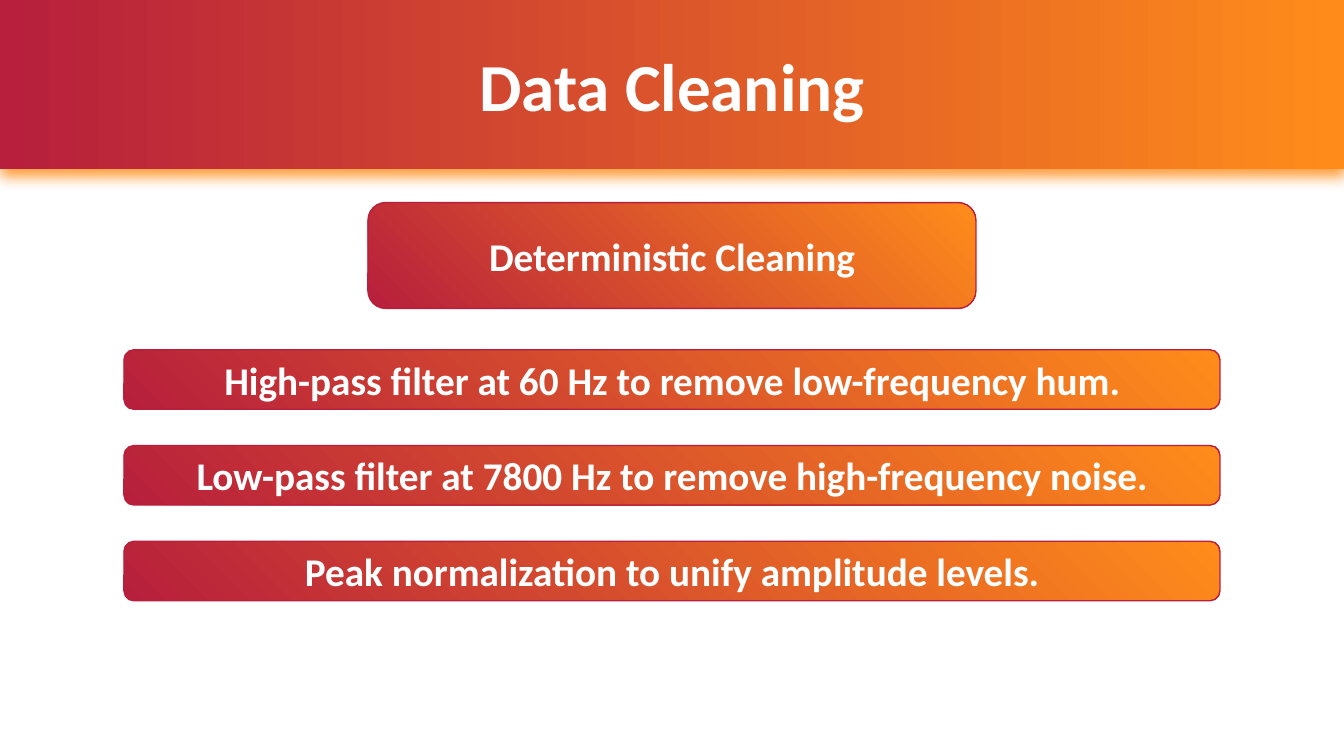
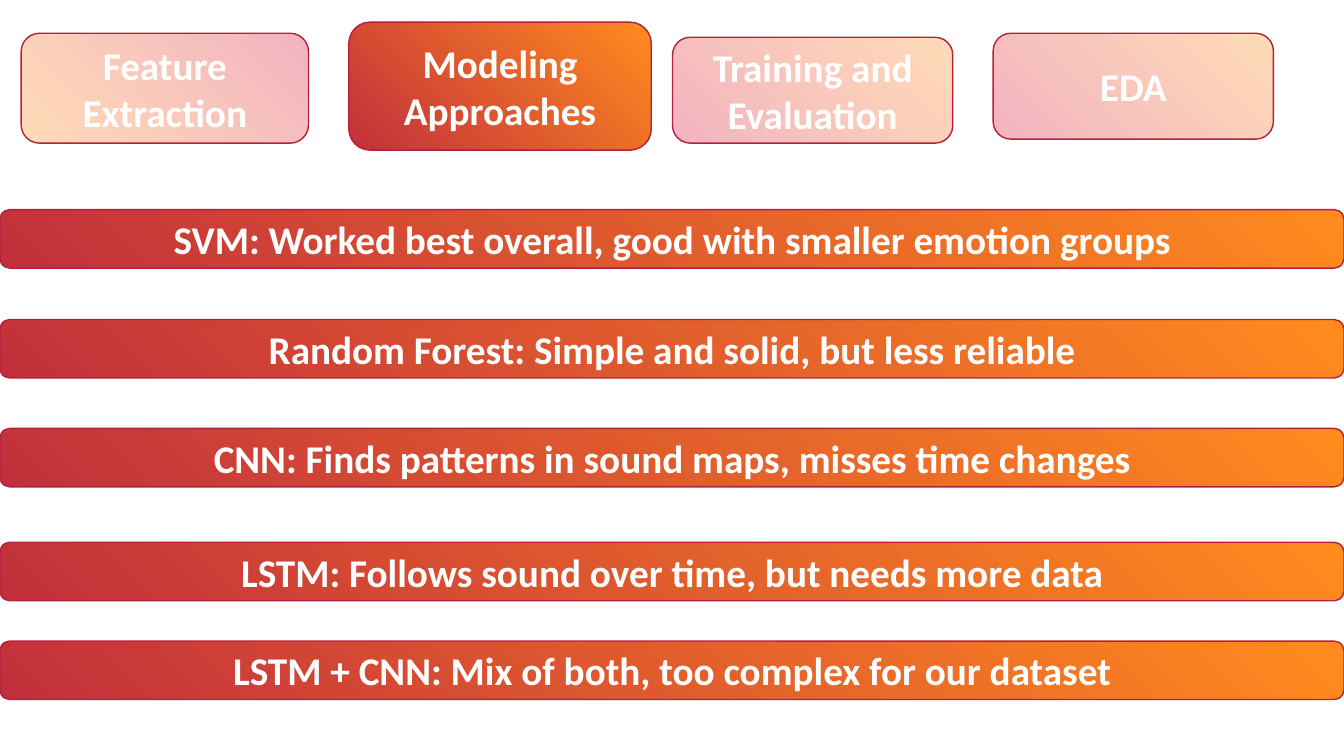
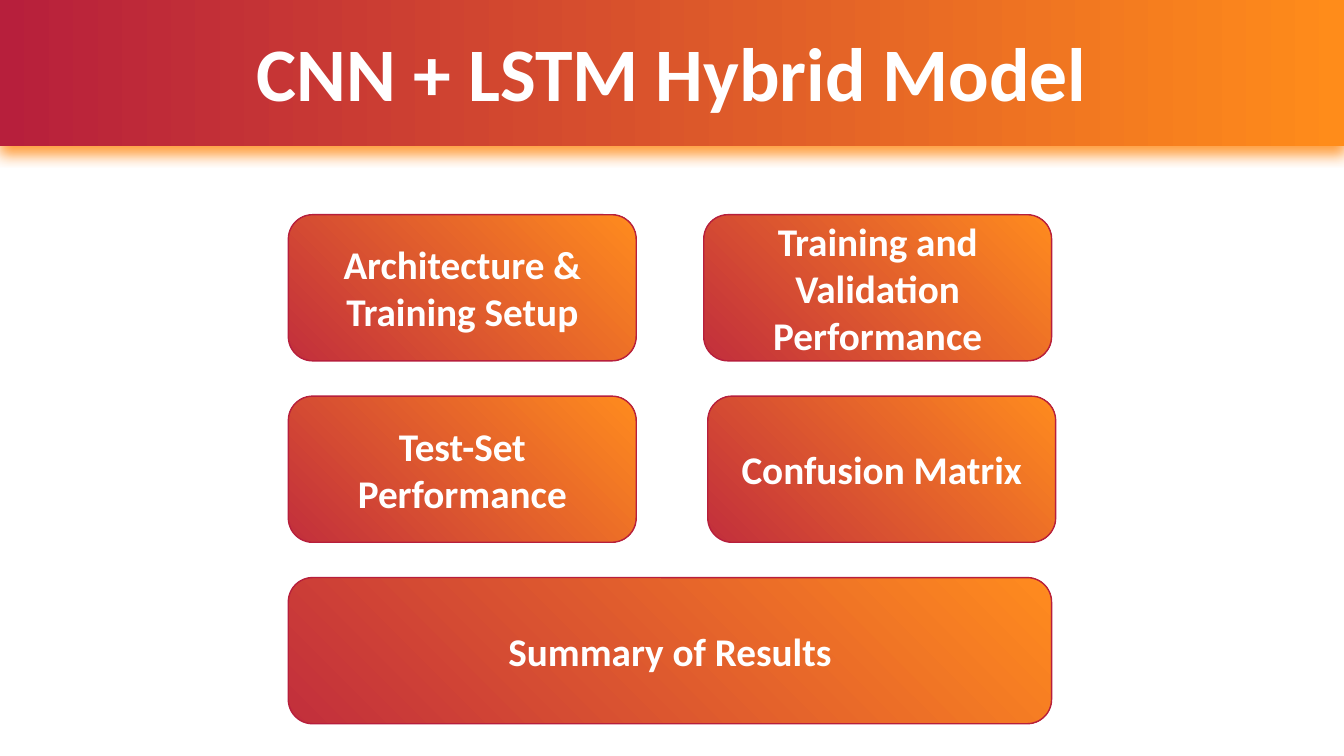
from pptx import Presentation
from pptx.dml.color import RGBColor
from pptx.enum.shapes import MSO_SHAPE
from pptx.enum.text import MSO_ANCHOR, MSO_AUTO_SIZE, PP_ALIGN
from pptx.oxml import parse_xml
from pptx.oxml.ns import nsdecls, qn
from pptx.util import Inches, Pt

RECT, ROUND = MSO_SHAPE.RECTANGLE, MSO_SHAPE.ROUNDED_RECTANGLE
MIDDLE, BOTTOM = MSO_ANCHOR.MIDDLE, MSO_ANCHOR.BOTTOM
CENTER, FIXED = PP_ALIGN.CENTER, MSO_AUTO_SIZE.NONE
WIDE, HIGH = 13.33, 7.5

HUES = {
    "red": "B71F3C",
    "orange": "FF8C1A",
    "brick": "C22F3C",
    "amber": "FF8B1E",
    "pink": "F2B4C0",
    "peach": "FFDBB7",
    "white": "FFFFFF",
}
FULL = ("red", "orange")
WARM = ("brick", "amber")
PALE = ("pink", "peach")
GLOW = (
    f'<a:outerShdw {nsdecls("a")} blurRad="{Inches(0.14)}" dist="{Inches(0.07)}" '
    f'dir="5400000" algn="t" rotWithShape="0"><a:srgbClr val="{HUES["orange"]}">'
    '<a:alpha val="85000"/></a:srgbClr></a:outerShdw>'
)


def write(shape, text, size=28, anchor=MIDDLE, lead=None):
    frame = shape.text_frame
    frame.text = text
    frame.word_wrap = True
    frame.auto_size = FIXED
    frame.vertical_anchor = anchor
    para = frame.paragraphs[0]
    para.alignment = CENTER
    para.line_spacing = lead
    font = para.runs[0].font
    font.name = "Calibri"
    font.size = Pt(size)
    font.bold = True
    font.color.rgb = RGBColor.from_string(HUES["white"])


def block(slide, kind, place, hues, angle=45):
    shape = slide.shapes.add_shape(kind, *map(Inches, place))
    shape.shadow.inherit = False
    shape.fill.gradient()
    shape.fill.gradient_angle = angle
    for stop, hue in zip(shape.fill.gradient_stops, hues):
        stop.color.rgb = RGBColor.from_string(HUES[hue])
    shape.line.color.rgb = RGBColor.from_string(HUES["red"])
    shape.line.width = Pt(1)
    return shape


clean = [("Deterministic Cleaning", (3.65, 2.01, 6.03, 1.05), FULL)]
steps = [
    "High-pass filter at 60 Hz to remove low-frequency hum.",
    "Low-pass filter at 7800 Hz to remove high-frequency noise.",
    "Peak normalization to unify amplitude levels.",
]
for row, text in enumerate(steps):
    clean.append((text, (1.23, 3.47 + 0.95 * row, 10.87, 0.59), FULL))

models = [
    ("Feature Extraction", (0.21, 0.33, 2.85, 1.09), PALE[::-1]),
    ("Modeling Approaches", (3.46, 0.22, 3, 1.27), WARM),
    ("Training and Evaluation", (6.67, 0.37, 2.78, 1.05), PALE),
    ("EDA", (9.85, 0.33, 2.78, 1.05), PALE),
]
notes = [
    (2.08, "SVM: Worked best overall, good with smaller emotion groups"),
    (3.17, "Random Forest: Simple and solid, but less reliable"),
    (4.25, "CNN: Finds patterns in sound maps, misses time changes"),
    (5.38, "LSTM: Follows sound over time, but needs more data"),
    (6.36, "LSTM + CNN: Mix of both, too complex for our dataset"),
]
for top, text in notes:
    models.append((text, (0, top, WIDE, 0.58), WARM))

hybrid = []
cards = [
    ("Architecture & Training Setup", 2.86, 0, 3.45),
    ("Training and Validation Performance", 6.98, 0, 3.45),
    ("Test-Set Performance", 2.86, 1, 3.45),
    ("Confusion Matrix", 7.02, 1, 3.45),
    ("Summary of Results", 2.86, 2, 7.57),
]
for text, left, row, width in cards:
    hybrid.append((text, (left, 2.13 + 1.8 * row, width, 1.45), WARM))

pages = [
    (("Data Cleaning", 48, 1.68, 1.3), clean),
    (None, models),
    (("CNN + LSTM Hybrid Model", 54, 1.45, 1.22), hybrid),
]

deck = Presentation()
deck.slide_width, deck.slide_height = Inches(WIDE), Inches(HIGH)
for head, parts in pages:
    slide = deck.slides.add_slide(deck.slide_layouts[5 if head else 6])
    if head:
        text, size, depth, base = head
        band = block(slide, RECT, (0, 0, WIDE, depth), FULL, angle=0)
        band.line.fill.background()
        band._element.spPr.find(qn("a:effectLst")).append(parse_xml(GLOW))
        title = slide.shapes.title
        title._element.addprevious(band._element)
        title.left, title.top = 0, 0
        title.width, title.height = Inches(WIDE), Inches(base)
        write(title, text, size=size, anchor=BOTTOM, lead=0.9)
    for text, place, hues in parts:
        write(block(slide, ROUND, place, hues), text)
deck.save("out.pptx")
